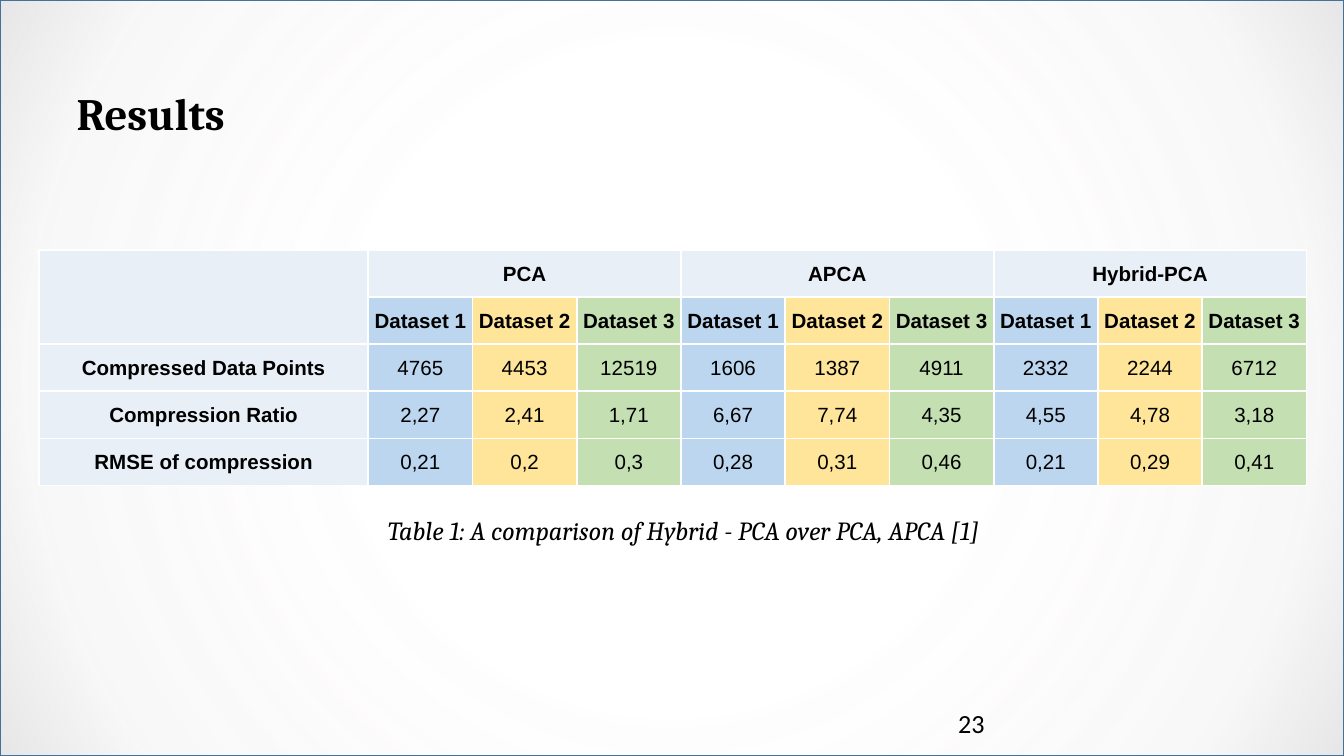
from lxml.etree import SubElement
from pptx import Presentation
from pptx.dml.color import RGBColor
from pptx.enum.shapes import MSO_SHAPE as SHAPE
from pptx.enum.text import MSO_ANCHOR as ANCHOR, MSO_AUTO_SIZE as AUTO, PP_ALIGN as ALIGN
from pptx.oxml import parse_xml
from pptx.oxml.ns import nsdecls, qn
from pptx.util import Cm, Pt

# Content
TITLE = "Results"
CAPTION = "Table 1: A comparison of Hybrid - PCA over PCA, APCA [1]"
PAGE = "23"
METHODS = ["PCA", "APCA", "Hybrid-PCA"]
DATASETS = ["Dataset 1", "Dataset 2", "Dataset 3"]
RESULTS = [
    ("Compressed Data Points", "4765", "4453", "12519", "1606", "1387", "4911", "2332", "2244", "6712"),
    ("Compression Ratio", "2,27", "2,41", "1,71", "6,67", "7,74", "4,35", "4,55", "4,78", "3,18"),
    ("RMSE of compression", "0,21", "0,2", "0,3", "0,28", "0,31", "0,46", "0,21", "0,29", "0,41"),
]

# Style
HEADER_FILL = "E9EFF7"
DATASET_FILLS = ["BBD6EE", "FEE599", "C4E0B2"]
BACKDROP_STOPS = [(0, "F6F9FC", 0), (38, "FFFFFF", 14), (84, "E7E6E6", 29), (100, "E7E6E6", 100)]
LABEL_W, VALUE_W, ROW_H = 6.22, 1.97, 0.89


def rgb(color):
    return RGBColor.from_string(color)


def style(p, font, size, bold=False, italic=False):
    for r in p.runs:
        f = r.font
        f.name, f.size, f.bold, f.italic = font, Pt(size), bold, italic
        f.color.rgb = rgb("000000")


def add_text(text, x, y, w, h, font, size, inset=(0.18, 0.1), grow=False, **look):
    tf = s.shapes.add_textbox(Cm(x), Cm(y), Cm(w), Cm(h)).text_frame
    tf.word_wrap = True
    tf.margin_left = tf.margin_right = Cm(inset[0])
    tf.margin_top = tf.margin_bottom = Cm(inset[1])
    if grow:
        tf.auto_size = AUTO.SHAPE_TO_FIT_TEXT
    tf.text = text
    p = tf.paragraphs[0]
    style(p, font, size, **look)
    return p


def format_cell(cell, text, fill, bold):
    cell.margin_left = cell.margin_right = cell.margin_top = Cm(0.02)
    cell.margin_bottom = 0
    cell.vertical_anchor = ANCHOR.MIDDLE
    cell.text_frame.text = text
    p = cell.text_frame.paragraphs[0]
    p.alignment = ALIGN.CENTER
    style(p, "Arial", 11, bold)
    # White borders come before the fill in the cell properties
    tc_pr = cell._tc.get_or_add_tcPr()
    for side in ("lnL", "lnR", "lnT", "lnB"):
        ln = SubElement(tc_pr, qn(f"a:{side}"), w=str(Pt(1)))
        SubElement(SubElement(ln, qn("a:solidFill")), qn("a:srgbClr"), val="FFFFFF")
    cell.fill.solid()
    cell.fill.fore_color.rgb = rgb(fill)


prs = Presentation()
prs.slide_width, prs.slide_height = Cm(25.4), Cm(14.28)
s = prs.slides.add_slide(prs.slide_layouts[6])
s.background.fill.solid()
s.background.fill.fore_color.rgb = rgb("FFFFFF")

# Backdrop with a circular gradient
sp = s.shapes.add_shape(SHAPE.RECTANGLE, 0, 0, prs.slide_width, prs.slide_height)
sp.shadow.inherit = False
sp.line.color.rgb = rgb("42719B")
sp.line.width = Pt(1)
stops = "".join(
    f'<a:gs pos="{pos * 1000}"><a:srgbClr val="{color}"><a:alpha val="{alpha * 1000}"/></a:srgbClr></a:gs>'
    for pos, color, alpha in BACKDROP_STOPS)
sp._element.spPr.find(qn("a:prstGeom")).addnext(parse_xml(
    f'<a:gradFill {nsdecls("a")}><a:gsLst>{stops}</a:gsLst><a:path path="circle">'
    '<a:fillToRect l="50000" t="50000" r="50000" b="50000"/></a:path></a:gradFill>'))

# Page number
add_text(PAGE, 17.93, 13.26, 5.72, 0.76, "Calibri", 14)

# Results table
n = len(DATASETS)
rows = [[""] + [m if i == 0 else "" for m in METHODS for i in range(n)],
        [""] + DATASETS * len(METHODS), *RESULTS]
n_cols = len(rows[0])
table = s.shapes.add_table(len(rows), n_cols, Cm(0.74), Cm(4.72),
                           Cm(LABEL_W + VALUE_W * (n_cols - 1)), Cm(ROW_H * len(rows))).table
for j, column in enumerate(table.columns):
    column.width = Cm(VALUE_W if j else LABEL_W)
for i, row in enumerate(rows):
    table.rows[i].height = Cm(ROW_H)
    for j, text in enumerate(row):
        is_header = i == 0 or j == 0
        fill = HEADER_FILL if is_header else DATASET_FILLS[(j - 1) % n]
        format_cell(table.cell(i, j), text, fill, bold=is_header or i == 1)
table.cell(0, 0).merge(table.cell(1, 0))
for j in range(1, n_cols, n):
    table.cell(0, j).merge(table.cell(0, j + n - 1))

# Caption and title
p = add_text(CAPTION, 5.99, 9.58, 13.87, 0.86, "Cambria", 14, (0.25, 0.13), grow=True, italic=True)
p.alignment = ALIGN.CENTER
p = add_text(TITLE, 1.27, 1.02, 3.96, 1.22, "Cambria", 24, grow=True, bold=True)
p.line_spacing = 1.5

prs.save("out.pptx")
